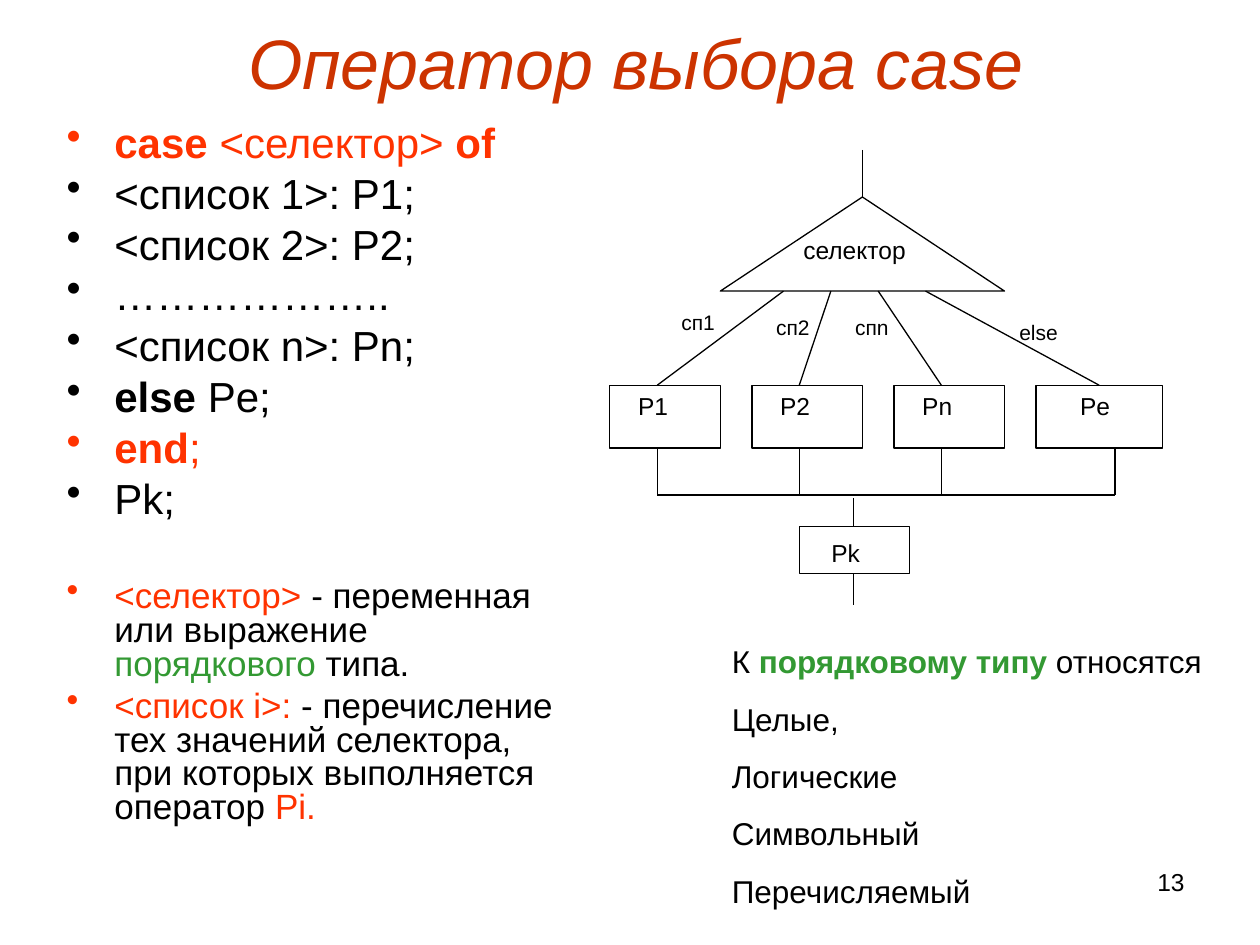
from lxml import etree
from pptx import Presentation
from pptx.dml.color import RGBColor
from pptx.enum.shapes import MSO_CONNECTOR, MSO_SHAPE
from pptx.enum.text import MSO_ANCHOR, PP_ALIGN
from pptx.oxml.ns import qn
from pptx.util import Inches, Pt

LEFT, CENTER, RIGHT = PP_ALIGN.LEFT, PP_ALIGN.CENTER, PP_ALIGN.RIGHT
TOP, MIDDLE = MSO_ANCHOR.TOP, MSO_ANCHOR.MIDDLE
TRIANGLE, RECTANGLE = MSO_SHAPE.FLOWCHART_EXTRACT, MSO_SHAPE.RECTANGLE
PROCESS, STRAIGHT = MSO_SHAPE.FLOWCHART_PROCESS, MSO_CONNECTOR.STRAIGHT
COLORS = {name: RGBColor.from_string(value) for name, value in {
    "black": "000000", "white": "FFFFFF", "title": "CC3300",
    "red": "FF3300", "green": "339933"}.items()}

# Grids: left origin, top origin, column width, row height in inches
PERCENT = (0, 0, 0.1, 0.075)
DIAGRAM = (4.84, 1.19, 0.1253, 0.1245)


def to_box(grid, column, row, columns, rows):
    x, y, width, height = grid
    return (Inches(x + column * width), Inches(y + row * height),
            Inches(columns * width), Inches(rows * height))


def add_text(container, box, paragraphs, size, align=LEFT, anchor=TOP,
             gap=0, bullets=False):
    """Each paragraph is a list of runs: (text, color name, style letters)."""
    frame = container.add_textbox(*box).text_frame
    frame.word_wrap = True
    frame.vertical_anchor = anchor
    for index, runs in enumerate(paragraphs):
        paragraph = frame.paragraphs[0] if index == 0 else frame.add_paragraph()
        if bullets:
            properties = paragraph._p.get_or_add_pPr()
            properties.set("marL", str(Inches(0.38)))
            properties.set("indent", str(-Inches(0.38)))
            bullet_color = etree.SubElement(properties, qn("a:buClr"))
            etree.SubElement(bullet_color, qn("a:srgbClr"), val=str(COLORS[runs[0][1]]))
            etree.SubElement(properties, qn("a:buChar"), char="•")
            paragraph.line_spacing = 0.8
        paragraph.alignment = align
        if index:
            paragraph.space_before = Pt(gap)
        for text, color, style in runs:
            run = paragraph.add_run()
            run.text = text
            run.font.name = "Arial"
            run.font.size = Pt(size)
            run.font.bold = "b" in style
            run.font.italic = "i" in style
            run.font.color.rgb = COLORS[color]
    return frame


presentation = Presentation()
presentation.slide_width, presentation.slide_height = Inches(10), Inches(7.5)
slide = presentation.slides.add_slide(presentation.slide_layouts[6])

# Title
add_text(slide.shapes, to_box(PERCENT, 2.4, 2.3, 96.1, 8.4),
         [[("Оператор выбора case", "title", "i")]], 40, CENTER, MIDDLE)

# Syntax of the operator, then its explanation in smaller type
syntax = [
    [("case ", "red", "b"), ("<селектор> ", "red", ""), ("of", "red", "b")],
    [("<список 1>: P1;", "black", "")],
    [("<список 2>: P2;", "black", "")],
    [("………………..", "black", "")],
    [("<список n>: Pn;", "black", "")],
    [("else", "black", "b"), (" Pe;", "black", "")],
    [("end", "red", "b"), (";", "red", "")],
    [("Pk;", "black", "")],
]
explanation = [
    [("<селектор>", "red", ""), (" - переменная или выражение ", "black", ""),
     ("порядкового", "green", ""), (" типа.", "black", "")],
    [("<список i>:", "red", ""),
     (" - перечисление тех значений селектора, при которых выполняется оператор ",
      "black", ""), ("Pi.", "red", "")],
]
body = add_text(slide.shapes, to_box(PERCENT, 4.3, 12.7, 40.6, 80.8),
                syntax + explanation, 24, gap=6, bullets=True)
for paragraph, space in zip(body.paragraphs[len(syntax):], (34, 5)):
    paragraph.space_before = Pt(space)
    for run in paragraph.runs:
        run.font.size = Pt(20)

# Flowchart blocks
flowchart = slide.shapes.add_group_shape().shapes
blocks = [
    (TRIANGLE, 7, 3, 18, 6),
    (PROCESS, 0, 15, 7, 4), (PROCESS, 9, 15, 7, 4),
    (RECTANGLE, 18, 15, 7, 4), (RECTANGLE, 27, 15, 8, 4),
    (RECTANGLE, 12, 24, 7, 3),
]
for kind, *cells in blocks:
    shape = flowchart.add_shape(kind, *to_box(DIAGRAM, *cells))
    shape.shadow.inherit = False
    shape.fill.solid()
    shape.fill.fore_color.rgb = COLORS["white"]
    shape.line.color.rgb = COLORS["black"]
    shape.line.width = Pt(0.75)

# Flowchart lines: entry, collecting line, exits, then each branch
lines = [(16, 0, 16, 3), (3, 22, 32, 22), (15.45, 22.2, 15.45, 24),
         (15.45, 27, 15.45, 29)]
for start, end, leave in ((11, 3, 3), (14, 12, 12), (17, 21, 21), (20, 31, 32)):
    lines += [(start, 9, end, 15), (leave, 19, leave, 22)]
for x1, y1, x2, y2 in lines:
    left, top, width, height = to_box(DIAGRAM, x1, y1, x2 - x1, y2 - y1)
    line = flowchart.add_connector(STRAIGHT, left, top, left + width, top + height)
    line.line.color.rgb = COLORS["black"]
    line.line.width = Pt(0.75)
    etree.SubElement(line._element.spPr, qn("a:effectLst"))

# Flowchart captions
captions = [("селектор", 10, 5, 11, CENTER), ("P1", 1, 15, 5, LEFT),
            ("P2", 10, 15, 5, LEFT), ("Pn", 19, 15, 4, LEFT),
            ("Pe", 29, 15, 4, LEFT), ("Pk", 13.25, 24.35, 4.5, LEFT)]
for text, column, row, columns, align in captions:
    add_text(flowchart, to_box(DIAGRAM, column, row, columns, 3),
             [[(text, "black", "")]], 14, align)

# Branch labels
for text, column, row in (("сп1", 3.75, 9.8), ("спn", 14.75, 10.1),
                          ("сп2", 9.75, 10.1), ("else", 25.15, 10.45)):
    add_text(slide.shapes, to_box(DIAGRAM, column, row, 4.1, 2.4),
             [[(text, "black", "")]], 12)

# Ordinal types
ordinal_types = [[("К ", "black", ""), ("порядковому типу", "green", "b"),
                  (" относятся", "black", "")]]
ordinal_types += [[(name, "black", "")] for name in
                  ("Целые,", "Логические", "Символьный", "Перечисляемый")]
add_text(slide.shapes, to_box(PERCENT, 57.1, 67.3, 40.2, 29.7),
         ordinal_types, 18, gap=11.2)

# Slide number
add_text(slide.shapes, to_box(PERCENT, 71.7, 91.1, 23.3, 6.9),
         [[("13", "black", "")]], 14, RIGHT)

presentation.save("out.pptx")
